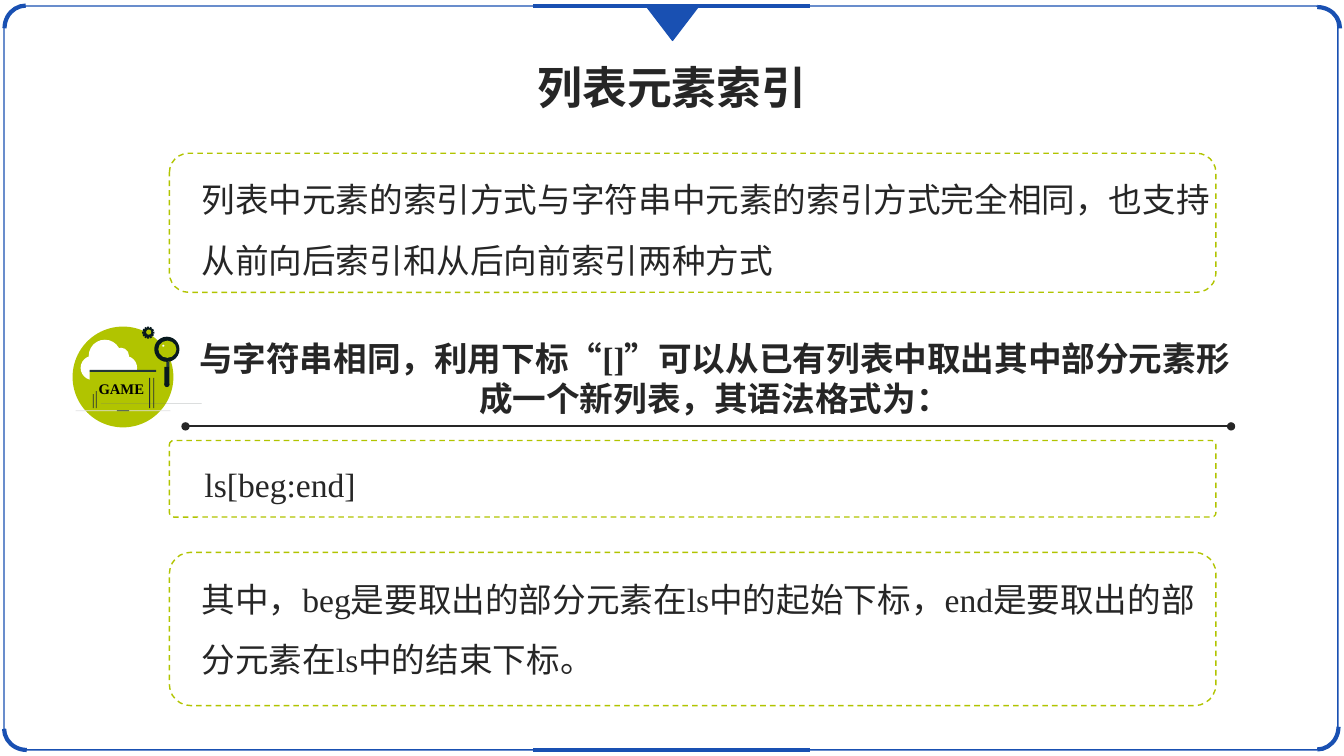
"""Build the slide on list element indexing."""
from lxml import etree
from pptx import Presentation
from pptx.dml.color import RGBColor
from pptx.enum.dml import MSO_LINE
from pptx.enum.shapes import MSO_CONNECTOR, MSO_SHAPE
from pptx.enum.text import MSO_ANCHOR, MSO_AUTO_SIZE, PP_ALIGN
from pptx.oxml.ns import qn
from pptx.util import Inches, Pt

RECT, OVAL, ROUND = MSO_SHAPE.RECTANGLE, MSO_SHAPE.OVAL, MSO_SHAPE.ROUNDED_RECTANGLE
ARC, TRIANGLE = MSO_SHAPE.ARC, MSO_SHAPE.ISOSCELES_TRIANGLE
STRAIGHT, DASH = MSO_CONNECTOR.STRAIGHT, MSO_LINE.DASH
LEFT, CENTER, TOP = PP_ALIGN.LEFT, PP_ALIGN.CENTER, MSO_ANCHOR.TOP
GROW, TITLE_ONLY = MSO_AUTO_SIZE.SHAPE_TO_FIT_TEXT, 5
LATIN, CHINESE = "Times New Roman", "Noto Sans CJK SC"
BLUE, LIME, INK, BLACK = "1950B2", "B1C400", "262626", "000000"
DARK, SLATE, NAVY, WHITE = "08191E", "213538", "222A35", "FFFFFF"

TITLE = "列表元素索引"
HEADING = [
    ("与字符串相同，利用下标“[]", LATIN),
    ("”", CHINESE),
    ("可以从已有列表中取出其中部分元素形成一个新列表，其语法格式为：", LATIN),
]
PANELS = [
    ("列表中元素的索引方式与字符串中元素的索引方式完全相同，也支持从前向后索引和从后向前索引两种方式",
     (1.9, 1.53, 10.31, 1.24), (1.52, 1.38), 0.139),
    ("ls[beg:end]", (1.93, 4.35, 10.16, 0.64), (4.37, 0.76), 0.056),
    ("其中，beg是要取出的部分元素在ls中的起始下标，end是要取出的部分元素在ls中的结束下标。",
     (1.9, 5.49, 10.31, 1.24), (5.48, 1.52), 0.139),
]
CORNERS = [(0.03, 0.07, 270), (12.84, 0.07, 0), (12.84, 7, 90), (0.04, 7.02, 180)]

BADGE = [(OVAL, (0.72, 3.24, 1, 1), LIME)]
CLOUD = [
    (OVAL, (0.8, 3.53, 0.24, 0.24), WHITE),
    (OVAL, (1.12, 3.53, 0.24, 0.24), WHITE),
    (OVAL, (0.88, 3.37, 0.32, 0.32), WHITE),
    (RECT, (0.92, 3.53, 0.32, 0.24), WHITE),
    (OVAL, (1.12, 3.45, 0.16, 0.16), WHITE),
]
MAGNIFIER = [
    (OVAL, (1.53, 3.34, 0.25, 0.25), DARK),
    (OVAL, (1.57, 3.38, 0.18, 0.17), LIME),
    (RECT, (1.65, 3.59, 0.03, 0.05), SLATE),
    (RECT, (1.63, 3.64, 0.05, 0.18), DARK),
    (OVAL, (1.63, 3.79, 0.05, 0.05), DARK),
    (OVAL, (1.61, 3.42, 0.02, 0.02), WHITE),
]
GEAR = [(OVAL, (1.42, 3.25, 0.1, 0.1), DARK)]
GEAR += [(RECT, (1.46, 3.24, 0.02, 0.12), DARK, angle) for angle in range(0, 180, 30)]
GEAR += [(OVAL, (1.45, 3.27, 0.05, 0.05), LIME)]
SCREEN = [(RECT, (0.89, 3.69, 0.66, 0.36), LIME)]
LAPTOP = [
    (RECT, (0.89, 3.67, 0.66, 0.02), SLATE),
    (RECT, (0.75, 4.07, 0.94, 0.01), "E1E1E2"),
    (RECT, (1.16, 4.07, 0.12, 0.01), SLATE),
]
LAPTOP += [(RECT, (x, y, 0.01, 4.05 - y), NAVY)
           for x, y in [(1.52, 3.75), (1.48, 3.75), (0.95, 3.88), (0.92, 3.91)]]
BEZEL = [
    [(0.86, 4.08), (0.86, 3.67), (0.87, 3.65), (0.89, 3.64),
     (1.55, 3.64), (1.57, 3.65), (1.58, 3.67), (1.58, 4.08)],
    [(0.89, 3.67), (0.89, 4.05), (1.55, 4.05), (1.55, 3.67)],
]
BASE = [[(0.75, 4.09), (1.69, 4.09), (1.64, 4.1), (1.58, 4.11), (0.85, 4.11), (0.8, 4.1)]]


def color(value):
    return RGBColor.from_string(value)


def paint(shape, fill=None, line=None, width=1, dash=None):
    shape.shadow.inherit = False
    if fill:
        shape.fill.solid()
        shape.fill.fore_color.rgb = color(fill)
    else:
        shape.fill.background()
    if line:
        shape.line.color.rgb = color(line)
        shape.line.width = Pt(width)
        if dash:
            shape.line.dash_style = dash
    else:
        shape.line.fill.background()


def add_preset(shapes, kind, place, fill=None, angle=0, corner=None, **line_format):
    shape = shapes.add_shape(kind, *map(Inches, place))
    shape.rotation = angle
    if corner is not None:
        shape.adjustments[0] = corner
    paint(shape, fill, **line_format)


def add_outline(shapes, contours, fill):
    builder = None
    for first, *rest in contours:
        if builder is None:
            builder = shapes.build_freeform(*first, scale=Inches(1))
        else:
            builder.move_to(*first)
        builder.add_line_segments(rest, close=True)
    paint(builder.convert_to_shape(), fill)


def add_line(shapes, start, end, line, width, ends=None):
    connector = shapes.add_connector(STRAIGHT, *map(Inches, start + end))
    connector.line.color.rgb = color(line)
    connector.line.width = Pt(width)
    if ends:
        stroke = connector.line._get_or_add_ln()
        for tag in ("a:headEnd", "a:tailEnd"):
            etree.SubElement(stroke, qn(tag), type=ends)
    etree.SubElement(connector._element.spPr, qn("a:effectLst"))


def write(box, text, size=24, ink=INK, bold=False, align=LEFT, spacing=None, wrap=True):
    frame = box.text_frame
    frame.word_wrap = wrap
    frame.auto_size = GROW
    frame.vertical_anchor = TOP
    para = frame.paragraphs[0]
    para.alignment = align
    if spacing:
        para.line_spacing = spacing
    for words, face in [(text, LATIN)] if isinstance(text, str) else text:
        span = para.add_run()
        span.text = words
        span.font.name = face
        span.font.size = Pt(size)
        span.font.bold = bold
        span.font.color.rgb = color(ink)
        etree.SubElement(span._r.get_or_add_rPr(), qn("a:ea"), typeface=CHINESE)


def add_text(shapes, place, text, **text_format):
    write(shapes.add_textbox(*map(Inches, place)), text, **text_format)


def add_frame(shapes):
    add_preset(shapes, ROUND, (0.04, 0.06, 13.23, 7.38), corner=0.029, line=BLUE)
    for left, top, angle in CORNERS:
        add_preset(shapes, ARC, (left, top, 0.45, 0.42), angle=angle, line=BLUE, width=3)
    for y in (0.06, 7.44):
        add_line(shapes, (5.29, y), (8.03, y), BLUE, 3)
    add_preset(shapes, TRIANGLE, (6.41, 0.06, 0.52, 0.34), BLUE, 180, line=BLUE)


def add_icon(shapes):
    icon = shapes.add_group_shape().shapes
    for part in BADGE + CLOUD + MAGNIFIER + GEAR + SCREEN:
        add_preset(icon, *part)
    add_outline(icon, BEZEL, DARK)
    add_outline(icon, BASE, "C4C3C4")
    for part in LAPTOP:
        add_preset(icon, *part)
    add_text(icon, (0.88, 3.72, 0.66, 0.28), "GAME", size=10.5, ink=BLACK, bold=True, wrap=False)


def main():
    deck = Presentation()
    deck.slide_width, deck.slide_height = Inches(13.33), Inches(7.5)
    page = deck.slides.add_slide(deck.slide_layouts[TITLE_ONLY])
    shapes = page.shapes
    add_frame(shapes)
    title = shapes.title
    title.left, title.top, title.width, title.height = map(Inches, (5.22, 0.54, 2.89, 0.64))
    write(title, TITLE, size=32, bold=True, align=CENTER, wrap=False)
    add_text(shapes, (1.79, 3.3, 10.59, 0.91), HEADING, bold=True, align=CENTER)
    add_line(shapes, (1.84, 4.23), (12.21, 4.23), INK, 1.5, ends="oval")
    add_icon(shapes)
    for text, place, (top, height), corner in PANELS:
        add_text(shapes, place, text, spacing=1.5)
        add_preset(shapes, ROUND, (1.68, top, 10.38, height), corner=corner, line=LIME, dash=DASH)
    deck.save("out.pptx")


if __name__ == "__main__":
    main()
